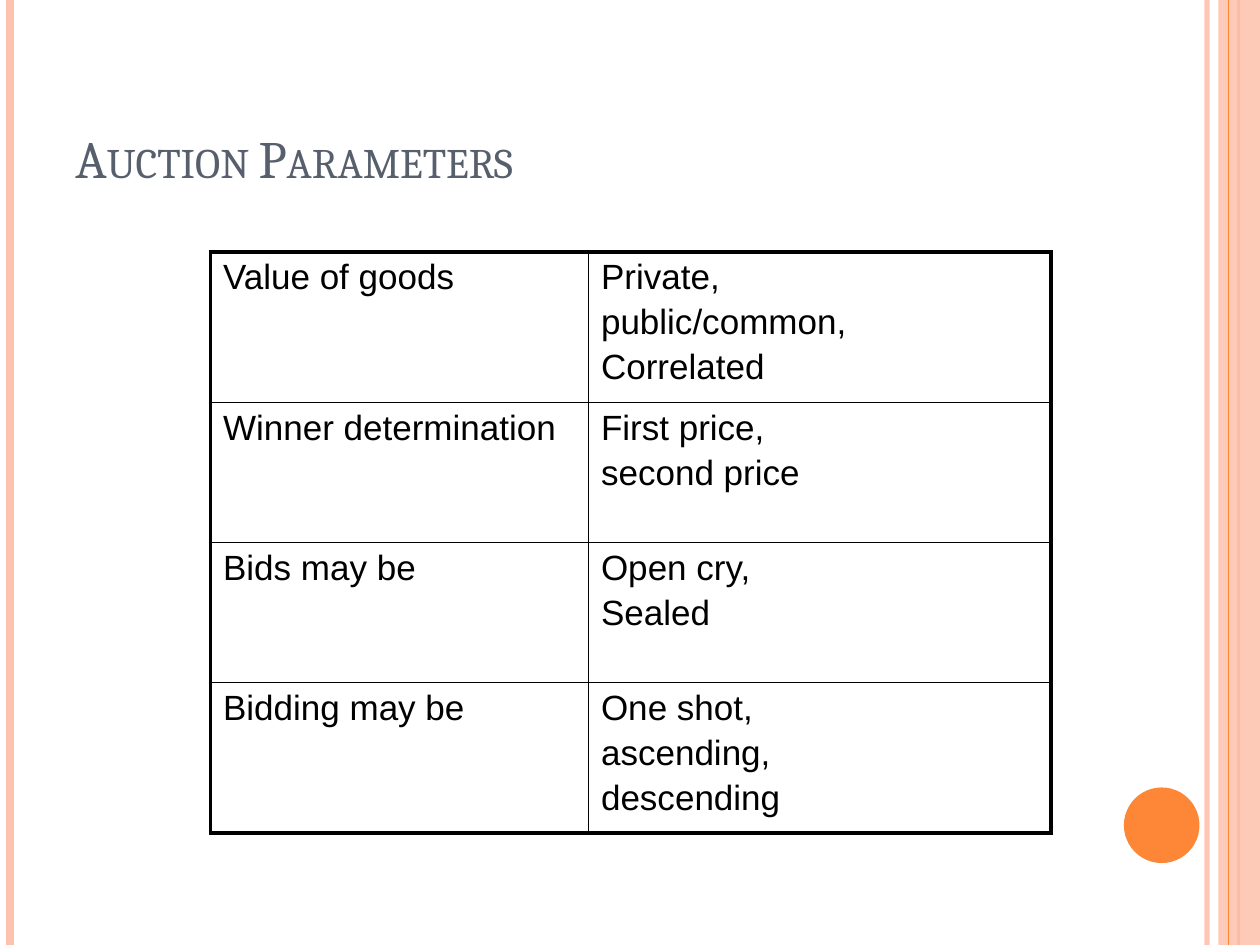
from lxml import etree
from pptx import Presentation
from pptx.dml.color import RGBColor
from pptx.enum.shapes import MSO_CONNECTOR, MSO_SHAPE
from pptx.enum.text import MSO_ANCHOR
from pptx.oxml.ns import qn
from pptx.util import Inches, Pt

LINE = MSO_CONNECTOR.STRAIGHT
RECT, OVAL = MSO_SHAPE.RECTANGLE, MSO_SHAPE.OVAL
BOTTOM = MSO_ANCHOR.BOTTOM

WHITE = RGBColor(0xFF, 0xFF, 0xFF)
BLACK = RGBColor(0, 0, 0)
PEACH = RGBColor(0xFE, 0xC3, 0xAE)
ORANGE = RGBColor(0xFE, 0x86, 0x37)
SLATE = RGBColor(0x57, 0x5F, 0x6D)

THIN, THICK = Pt(1), Pt(2.25)
ROWS = [
    ("Value of goods", ["Private,", "public/common,", "Correlated"]),
    ("Winner determination", ["First price,", "second price"]),
    ("Bids may be", ["Open cry,", "Sealed"]),
    ("Bidding may be", ["One shot,", "ascending,", "descending"]),
]


def write(para, text, font="Arial", size=20, color=BLACK, small=False, before=0):
    """Add one formatted run to a paragraph."""
    para.space_before = Pt(before)
    run = para.add_run()
    run.text = text
    run.font.name = font
    run.font.size = Pt(size)
    run.font.color.rgb = color
    if small:
        run.font._element.set("cap", "small")


def fade(fill, share):
    """Make a solid fill or line colour partly transparent."""
    tint = fill.find(".//" + qn("a:srgbClr"))
    etree.SubElement(tint, qn("a:alpha"), val=str(share * 1000))


def add_rule(slide, x, top, height, color, width, share=100):
    rule = slide.shapes.add_connector(LINE, x, top, x, top + height)
    rule.line.color.rgb = color
    rule.line.width = Pt(width)
    props = rule._element.spPr
    etree.SubElement(props, qn("a:effectLst"))
    if share < 100:
        fade(props, share)


def add_solid(slide, kind, box, color, share=100):
    shape = slide.shapes.add_shape(kind, *box)
    shape.shadow.inherit = False
    shape.fill.solid()
    shape.fill.fore_color.rgb = color
    shape.line.fill.background()
    if share < 100:
        fade(shape._element.spPr, share)


def add_frame(slide, left, top, width, height):
    """Draw the side stripes and the corner dot."""
    right = left + width
    add_rule(slide, right - Inches(0.42), top, height, PEACH, 3, 93)
    add_rule(slide, left + Inches(0.08), top, height, PEACH, 4.5)
    add_rule(slide, right - Inches(0.17), top, height, ORANGE, 1.5)
    band = Inches(0.33)
    add_solid(slide, RECT, (right - band, top, band, height), PEACH, 87)
    add_rule(slide, right - Inches(0.25), top, height, ORANGE, 0.75)
    dot = Inches(0.6)
    spot = (right - Inches(1.08), top + height - Inches(1.25), dot, dot)
    add_solid(slide, OVAL, spot, ORANGE)


def add_title(slide, left, top, width, height):
    frame = slide.shapes.add_textbox(left, top, width, height).text_frame
    frame.word_wrap = True
    frame.vertical_anchor = BOTTOM
    write(frame.paragraphs[0], "Auction Parameters", font="Cambria", size=30,
          color=SLATE, small=True)


def set_edges(cell, widths):
    """Set the cell borders; they come before the fill in the XML."""
    props = cell._tc.get_or_add_tcPr()
    for i, (side, width) in enumerate(widths.items()):
        edge = etree.Element(qn("a:ln" + side), w=str(int(width)))
        solid = etree.SubElement(edge, qn("a:solidFill"))
        etree.SubElement(solid, qn("a:srgbClr"), val=str(BLACK))
        props.insert(i, edge)


def add_grid(slide, left, top, width, height):
    """Place the parameter table with a thick outer border."""
    last = len(ROWS) - 1
    table = slide.shapes.add_table(len(ROWS), 2, left, top, width, height).table
    table.first_row = table.horz_banding = False
    table.columns[0].width = Inches(3)
    table.columns[1].width = width - Inches(3)
    for r, (name, options) in enumerate(ROWS):
        # Rows with three lines need a little more room
        table.rows[r].height = Inches(1.14 if len(options) == 3 else 1.11)
        for c, lines in enumerate(([name], options)):
            cell = table.cell(r, c)
            cell.fill.background()
            set_edges(cell, {
                "L": THICK if c == 0 else THIN,
                "R": THICK if c == 1 else THIN,
                "T": THICK if r == 0 else THIN,
                "B": THICK if r == last else THIN,
            })
            frame = cell.text_frame
            for i, line in enumerate(lines):
                para = frame.add_paragraph() if i else frame.paragraphs[0]
                write(para, line, before=3.4)


def main():
    deck = Presentation()
    deck.slide_width, deck.slide_height = Inches(10), Inches(7.5)
    slide = deck.slides.add_slide(deck.slide_layouts[6])
    slide.background.fill.solid()
    slide.background.fill.fore_color.rgb = WHITE

    add_frame(slide, 0, 0, deck.slide_width, deck.slide_height)
    add_title(slide, Inches(0.5), Inches(0.3), Inches(8.17), Inches(1.25))
    add_grid(slide, Inches(1.67), Inches(2), Inches(6.67), Inches(4.5))
    deck.save("out.pptx")


if __name__ == "__main__":
    main()
